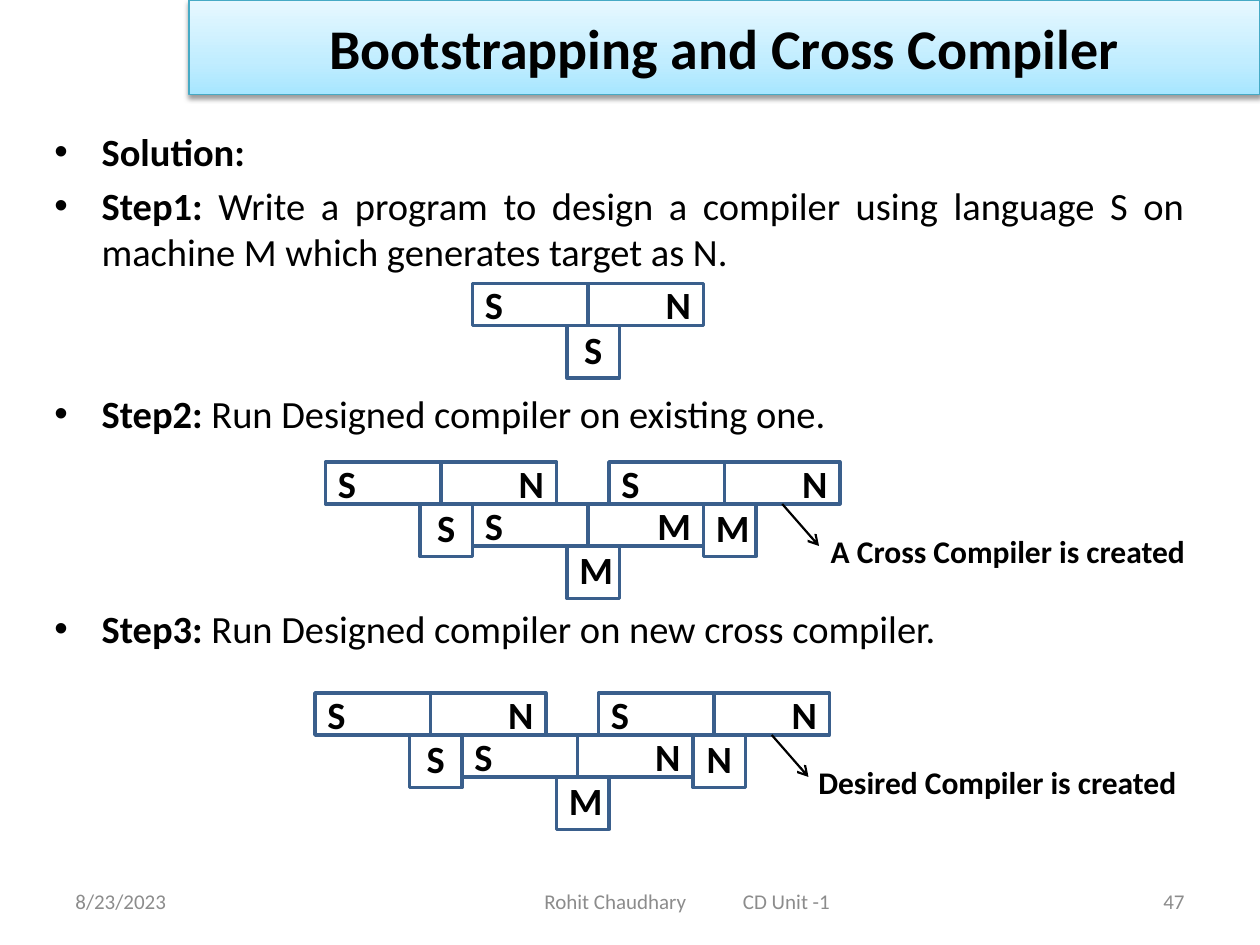
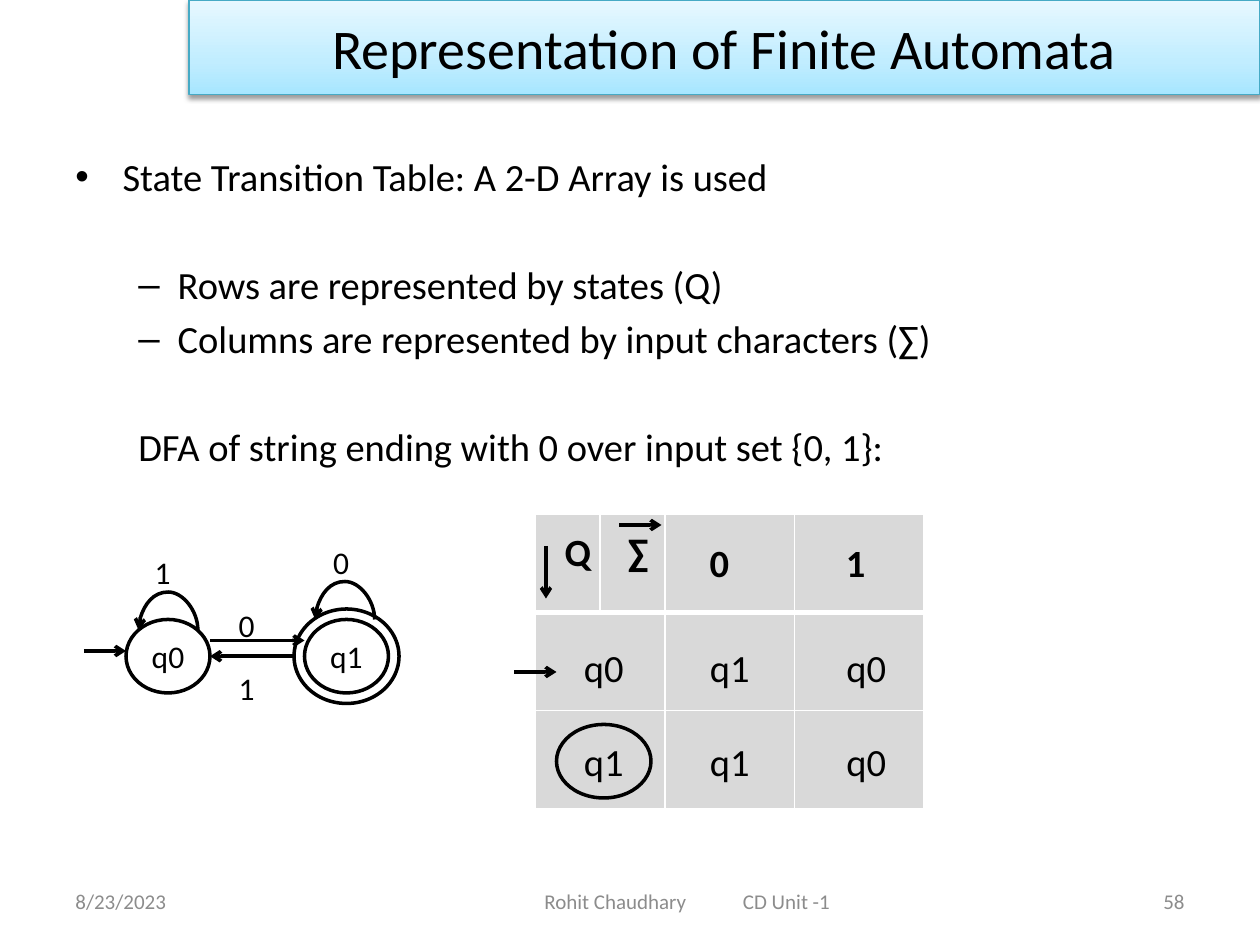
import pptx
import pptx.dml.color
import pptx.enum.shapes
import pptx.enum.text
import pptx.oxml
import pptx.oxml.ns
import pptx.util

Pt = pptx.util.Pt
ALIGN = pptx.enum.text.PP_ALIGN
ANCHOR = pptx.enum.text.MSO_ANCHOR
SHAPE = pptx.enum.shapes.MSO_SHAPE
CONNECTOR = pptx.enum.shapes.MSO_CONNECTOR

FONT = "Calibri"
BLACK, WHITE, GREY = "000000", "FFFFFF", "8C8C8C"
BAND_STOPS = [(0, "A7E6FF"), (35, "C1EDFF"), (100, "E7F8FF")]
BAND_LINE, BRICK_LINE, CELL_FILL = "46AAC5", "3A5F8C", "D9D9D9"
BODY_SIZE, LABEL_SIZE, FOOTER_SIZE = 22, 18, 12
LINE_PITCH, PARAGRAPH_GAP = 30.8, 4.4

DATE, AUTHOR, UNIT = "8/23/2023", "Rohit Chaudhary", "CD Unit -1"

# Body paragraphs: level, bold lead, text, lines left free above
STEPS = [
    (0, "Solution:", "", 0),
    (0, "Step1: ", "Write a program to design a compiler using language S on "
                   "machine M which generates target as N.", 0),
    (0, "Step2: ", "Run Designed compiler on existing one.", 2),
    (0, "Step3: ", "Run Designed compiler on new cross compiler.", 3),
]
TABLE_NOTES = [
    (0, "", "State Transition Table: A 2-D Array is used", 0),
    (1, "", "Rows are represented by states (Q)", 1),
    (1, "", "Columns are represented by input characters (∑)", 0),
    (None, "", "DFA of string ending with 0 over input set {0, 1}:", 1),
]
# Level: bullet, left margin, first-line indent
LEVELS = {0: ("•", 27, -27), 1: ("–", 58.5, -22.5), None: (None, 36, 0)}

# T-diagrams: source, target and implementation language
DESIGNED = "SNS"
DIAGRAMS = [
    {"at": (270, 162), "base": DESIGNED},
    {"at": (270, 288), "base": "SMM", "result": "SNM",
     "caption": "A Cross Compiler is created"},
    {"at": (264, 420), "base": "SNM", "result": "SNN",
     "caption": "Desired Compiler is created"},
]
BRICK_W, BRICK_H, STEM = 66, 24, 30

# Automaton: name, box; the accepting state has a second ring
STATES = [("q0", (72, 354, 48, 42)), ("q1", (174, 354, 48, 42))]
ACCEPTING_RING = (168, 348, 60, 54)
MOVES = [((48, 372), (72, 372)), ((120, 366), (174, 366)), ((168, 375), (120, 375))]
LOOPS = [(79, 360), (180, 354)]
LOOP_W, LOOP_RISE = 34, 23
INPUTS = [("1", 78, 318), ("0", 180, 312), ("0", 126, 348), ("1", 126, 384)]

# Transition table: an empty grid with its entries laid over it
TABLE_LEFT, TABLE_TOP, ROW_H, ROW_COUNT = 306, 294, 56, 3
COLUMN_WIDTHS = [37, 37, 74, 74]
ENTRY_W, ENTRY_H = 54, 42
HEADINGS = [("Q", 312, 294, 24), ("∑", 348, 294, 24),
            ("0", 384, 300, ENTRY_W), ("1", 462, 300, ENTRY_W)]
ENTRY_LEFTS = [318, 390, 468]
ENTRY_ROWS = [(360, ["q0", "q1", "q0"]), (414, ["q1", "q1", "q0"])]
ACCEPTING_ENTRY = (318, 414)
TABLE_ARROWS = [((294, 384), (318, 384)), ((312, 312), (312, 342)), ((354, 300), (378, 300))]


def rgb(colour):
    return pptx.dml.color.RGBColor.from_string(colour)


def append_xml(parent, tag, body="", **attributes):
    """Append a DrawingML element to parent."""
    pairs = "".join(f' {name}="{value}"' for name, value in attributes.items())
    parent.append(pptx.oxml.parse_xml(
        f'<a:{tag} {pptx.oxml.ns.nsdecls("a")}{pairs}>{body}</a:{tag}>'))


def solid(colour):
    return f'<a:solidFill><a:srgbClr val="{colour}"/></a:solidFill>'


def style(paragraph, size, colour=BLACK, bold=False, align=None):
    font = paragraph.font
    font.name, font.size, font.bold = FONT, Pt(size), bold
    font.color.rgb = rgb(colour)
    paragraph.alignment = align


def add_text(slide, text, box, size, align=ALIGN.CENTER, colour=BLACK, bold=False):
    frame = slide.shapes.add_textbox(*map(Pt, box)).text_frame
    frame.word_wrap = True
    frame.vertical_anchor = ANCHOR.MIDDLE
    frame.text = text
    style(frame.paragraphs[0], size, colour, bold, align)


def add_outline(slide, kind, box, colour, text="", size=BODY_SIZE, bold=False,
                align=ALIGN.CENTER, anchor=ANCHOR.MIDDLE):
    """Add an unfilled shape; without a colour it has no line either."""
    shape = slide.shapes.add_shape(kind, *map(Pt, box))
    shape.shadow.inherit = False
    shape.fill.background()
    if colour:
        shape.line.color.rgb = rgb(colour)
        shape.line.width = Pt(2)
    else:
        shape.line.fill.background()
    if text:
        shape.text_frame.text = text
        shape.text_frame.vertical_anchor = anchor
        style(shape.text_frame.paragraphs[0], size, BLACK, bold, align)


def add_arrow(slide, start, end, width=2, kind=CONNECTOR.STRAIGHT):
    arrow = slide.shapes.add_connector(kind, *map(Pt, (*start, *end)))
    arrow.line.color.rgb = rgb(BLACK)
    arrow.line.width = Pt(width)
    properties = arrow._element.spPr
    append_xml(properties.find(pptx.oxml.ns.qn("a:ln")), "tailEnd", type="arrow")
    append_xml(properties, "effectLst")
    return properties


def add_loop(slide, left, top):
    """Curved arrow from right to left, turned a quarter so that it rises."""
    thin = 0.12
    centre = left + LOOP_W / 2
    properties = add_arrow(slide, (centre, top + LOOP_W / 2),
                           (centre + thin, top - LOOP_W / 2), kind=CONNECTOR.CURVE)
    properties.find(pptx.oxml.ns.qn("a:xfrm")).set("rot", "16200000")
    adjustments = properties.find(".//" + pptx.oxml.ns.qn("a:avLst"))
    append_xml(adjustments, "gd", name="adj1",
               fmla=f"val {round(LOOP_RISE / thin * 100000)}")


def add_slide(deck, title, number, bold):
    slide = deck.slides.add_slide(deck.slide_layouts[5])
    band = slide.shapes.title
    band.left, band.top, band.width, band.height = map(Pt, (108, 0, 612, 54))
    stops = "".join(f'<a:gs pos="{at * 1000}"><a:srgbClr val="{colour}"/></a:gs>'
                    for at, colour in BAND_STOPS)
    append_xml(band._element.spPr, "gradFill",
               f'<a:gsLst>{stops}</a:gsLst><a:lin ang="16200000" scaled="0"/>')
    band.line.color.rgb = rgb(BAND_LINE)
    band.line.width = Pt(0.75)
    append_xml(band._element.spPr, "effectLst",
               f'<a:outerShdw blurRad="{Pt(3.1)}" dist="{Pt(1.6)}" dir="5400000" '
               f'rotWithShape="0"><a:srgbClr val="{BLACK}"><a:alpha val="38000"/>'
               '</a:srgbClr></a:outerShdw>')
    band.text_frame.text = title
    band.text_frame.auto_size = pptx.enum.text.MSO_AUTO_SIZE.NONE
    band.text_frame.vertical_anchor = ANCHOR.MIDDLE
    style(band.text_frame.paragraphs[0], 32, BLACK, bold, ALIGN.CENTER)

    top, height = 500.4, 28.8
    add_text(slide, DATE, (36, top, 168, height), FOOTER_SIZE, ALIGN.LEFT, GREY)
    add_text(slide, number, (516, top, 168, height), FOOTER_SIZE, ALIGN.RIGHT, GREY)
    frame = slide.shapes.add_textbox(*map(Pt, (304, top, 200, height))).text_frame
    frame.word_wrap = True
    frame.vertical_anchor = ANCHOR.MIDDLE
    frame.text = f"{AUTHOR}\t{UNIT}"
    credit = frame.paragraphs[0]
    append_xml(credit._p.get_or_add_pPr(), "tabLst", f'<a:tab pos="{Pt(113.5)}" algn="l"/>')
    style(credit, FOOTER_SIZE, GREY, align=ALIGN.LEFT)
    return slide


def add_body(slide, box, items, align):
    frame = slide.shapes.add_textbox(*map(Pt, box)).text_frame
    frame.word_wrap = True
    for index, (level, lead, text, free_lines) in enumerate(items):
        paragraph = frame.add_paragraph() if index else frame.paragraphs[0]
        bullet, margin, indent = LEVELS[level]
        properties = paragraph._p.get_or_add_pPr()
        properties.set("marL", str(Pt(margin)))
        properties.set("indent", str(Pt(indent)))
        if bullet:
            append_xml(properties, "buFont", typeface="Arial")
            append_xml(properties, "buChar", char=bullet)
        if index:
            paragraph.space_before = Pt(PARAGRAPH_GAP + free_lines * LINE_PITCH)
        style(paragraph, BODY_SIZE, align=align)
        for part, bold in ((lead, True), (text, False)):
            if part:
                run = paragraph.add_run()
                run.text, run.font.bold = part, bold


def add_t_diagram(slide, left, top, languages):
    source, target, implementation = languages
    bricks = [
        (source, (left, top, BRICK_W, BRICK_H), ALIGN.LEFT, ANCHOR.MIDDLE),
        (target, (left + BRICK_W, top, BRICK_W, BRICK_H), ALIGN.RIGHT, ANCHOR.MIDDLE),
        (implementation, (left + 54, top + BRICK_H, STEM, STEM), ALIGN.CENTER, ANCHOR.BOTTOM),
    ]
    for language, box, align, anchor in bricks:
        add_outline(slide, SHAPE.RECTANGLE, box, BRICK_LINE, language,
                    bold=True, align=align, anchor=anchor)


def build_bootstrapping(deck):
    slide = add_slide(deck, "Bootstrapping and Cross Compiler", "47", True)
    add_body(slide, (24, 69.6, 660, 416), STEPS, ALIGN.JUSTIFY)
    for diagram in DIAGRAMS:
        left, top = diagram["at"]
        add_t_diagram(slide, left, top, diagram["base"])
        if "result" in diagram:
            add_t_diagram(slide, left - 84, top - BRICK_H, DESIGNED)
            add_t_diagram(slide, left + 78, top - BRICK_H, diagram["result"])
            add_text(slide, diagram["caption"], (left + 192, top + 12, 228, 30),
                     LABEL_SIZE, bold=True)
            add_arrow(slide, (left + 177, top), (left + 198, top + BRICK_H), 1.25)


def format_cell(cell, row):
    properties = cell._tc.get_or_add_tcPr()
    for side in "LRTB":
        under_header = (row, side) in ((0, "B"), (1, "T"))
        append_xml(properties, f"ln{side}", solid(WHITE), w=Pt(3 if under_header else 1))
    cell.fill.solid()
    cell.fill.fore_color.rgb = rgb(CELL_FILL)


def add_transition_table(slide):
    table = slide.shapes.add_table(ROW_COUNT, len(COLUMN_WIDTHS), *map(Pt, (
        TABLE_LEFT, TABLE_TOP, sum(COLUMN_WIDTHS), ROW_H * ROW_COUNT))).table
    table.first_row = table.horz_banding = False
    for column, width in zip(table.columns, COLUMN_WIDTHS):
        column.width = Pt(width)
    for row in range(ROW_COUNT):
        table.rows[row].height = Pt(ROW_H)
        if row:
            table.cell(row, 0).merge(table.cell(row, 1))
        for column in range(len(COLUMN_WIDTHS)):
            format_cell(table.cell(row, column), row)

    for heading, left, top, width in HEADINGS:
        add_outline(slide, SHAPE.OVAL, (left, top, width, ENTRY_H), None, heading, bold=True)
    for top, states in ENTRY_ROWS:
        for left, state in zip(ENTRY_LEFTS, states):
            ring = BLACK if (left, top) == ACCEPTING_ENTRY else None
            add_outline(slide, SHAPE.OVAL, (left, top, ENTRY_W, ENTRY_H), ring, state)


def build_automata(deck):
    slide = add_slide(deck, "Representation of Finite Automata", "58", False)
    add_body(slide, (36, 84, 648, 398), TABLE_NOTES, ALIGN.LEFT)
    for state, box in STATES:
        add_outline(slide, SHAPE.OVAL, box, BLACK, state, LABEL_SIZE)
    add_outline(slide, SHAPE.OVAL, ACCEPTING_RING, BLACK)
    for left, top in LOOPS:
        add_loop(slide, left, top)
    for symbol, left, top in INPUTS:
        add_text(slide, symbol, (left, top, 30, 18), LABEL_SIZE)
    add_transition_table(slide)
    for start, end in MOVES + TABLE_ARROWS:
        add_arrow(slide, start, end)


def main():
    deck = pptx.Presentation()
    deck.slide_width, deck.slide_height = Pt(720), Pt(540)
    build_bootstrapping(deck)
    build_automata(deck)
    deck.save("out.pptx")


if __name__ == "__main__":
    main()
